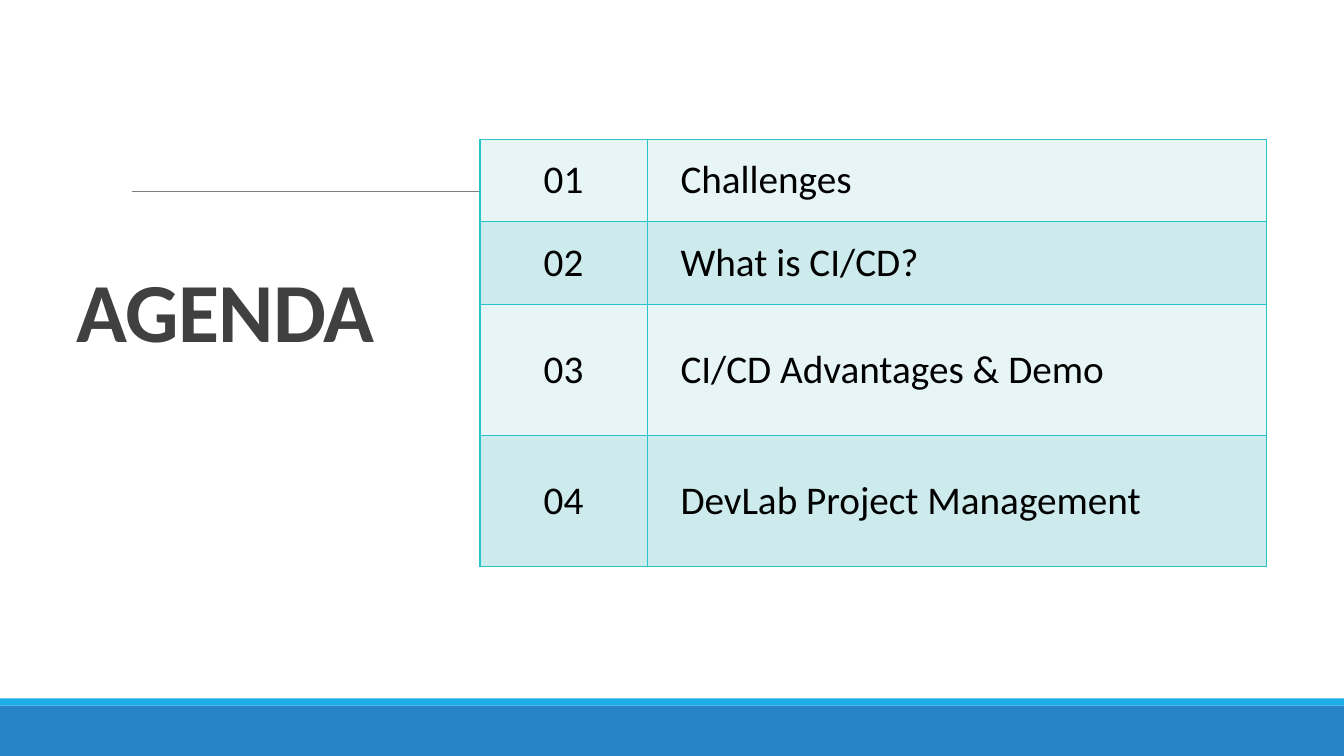
from lxml import etree
from pptx import Presentation
from pptx.dml.color import RGBColor
from pptx.enum.shapes import MSO_CONNECTOR, MSO_SHAPE
from pptx.enum.text import MSO_ANCHOR, PP_ALIGN
from pptx.oxml.ns import qn
from pptx.util import Inches, Pt

RECT = MSO_SHAPE.RECTANGLE
STRAIGHT = MSO_CONNECTOR.STRAIGHT
MIDDLE = MSO_ANCHOR.MIDDLE
LEFT, CENTER = PP_ALIGN.LEFT, PP_ALIGN.CENTER

BLUE = RGBColor(0x26, 0x83, 0xC6)
SKY = RGBColor(0x1C, 0xAD, 0xE4)
GRAY = RGBColor(0x80, 0x80, 0x80)
DARK = RGBColor(0x40, 0x40, 0x40)
BLACK = RGBColor(0, 0, 0)
TEAL = RGBColor(0x28, 0xC4, 0xCC)
BANDS = [RGBColor(0xE8, 0xF5, 0xF6), RGBColor(0xCD, 0xEA, 0xEC)]

FONT = "Calibri"
SLIDE_W, SLIDE_H = 13.33, 7.5
TOPICS = ["Challenges", "What is CI/CD?", "CI/CD Advantages & Demo",
          "DevLab Project Management"]
COL_WIDTHS = [1.66, 6.14]
ROW_HEIGHTS = [0.82, 0.82, 1.3, 1.3]


def add_run(p, text, size, color, bold=False):
    r = p.add_run()
    r.text = text
    r.font.name = FONT
    r.font.size = Pt(size)
    r.font.bold = bold
    r.font.color.rgb = color
    return r


def add_footer(s, x, y, w, h):
    """Blue band with a thin lighter stripe along its top."""
    stripe = 0.07
    for top, height, color in [(y + stripe, h - stripe, BLUE), (y, stripe, SKY)]:
        bar = s.shapes.add_shape(RECT, Inches(x), Inches(top),
                                 Inches(w), Inches(height))
        bar.shadow.inherit = False
        bar.fill.solid()
        bar.fill.fore_color.rgb = color
        bar.line.fill.background()


def add_rule(s, x, y, w):
    rule = s.shapes.add_connector(STRAIGHT, Inches(x), Inches(y),
                                  Inches(x + w), Inches(y))
    rule.line.color.rgb = GRAY
    rule.line.width = Pt(0.5)
    etree.SubElement(rule._element.spPr, qn("a:effectLst"))


def add_title(s, x, y, w, h):
    tf = s.shapes.add_textbox(Inches(x), Inches(y), Inches(w), Inches(h)).text_frame
    tf.word_wrap = True
    tf.margin_left = tf.margin_right = 0
    p = tf.paragraphs[0]
    p.line_spacing = 0.9
    p.space_after = Pt(6)
    r = add_run(p, "AGENDA", 60, DARK, bold=True)
    r.font._element.set("spc", "-50")


def add_borders(cell):
    # Borders must come before the fill in the cell properties
    tcPr = cell._tc.get_or_add_tcPr()
    for i, side in enumerate(["a:lnL", "a:lnR", "a:lnT", "a:lnB"]):
        ln = etree.Element(qn(side), w=str(Pt(1)))
        fill = etree.SubElement(ln, qn("a:solidFill"))
        etree.SubElement(fill, qn("a:srgbClr"), val=str(TEAL))
        tcPr.insert(i, ln)


def add_agenda(s, x, y, w, h):
    """Numbered topics in banded rows."""
    table = s.shapes.add_table(len(TOPICS), len(COL_WIDTHS), Inches(x), Inches(y),
                               Inches(w), Inches(h)).table
    table.first_row = False
    for col, width in zip(table.columns, COL_WIDTHS):
        col.width = Inches(width)
    for row, height in zip(table.rows, ROW_HEIGHTS):
        row.height = Inches(height)

    for i, topic in enumerate(TOPICS):
        for j, (text, align) in enumerate([(f"{i + 1:02}", CENTER), (topic, LEFT)]):
            cell = table.cell(i, j)
            cell.fill.solid()
            cell.fill.fore_color.rgb = BANDS[i % 2]
            cell.vertical_anchor = MIDDLE
            cell.margin_left = cell.margin_right = Inches(0.33)
            cell.margin_top = cell.margin_bottom = Inches(0.16)
            p = cell.text_frame.paragraphs[0]
            p.alignment = align
            add_run(p, text, 28, BLACK)
            add_borders(cell)


def main():
    prs = Presentation()
    prs.slide_width, prs.slide_height = Inches(SLIDE_W), Inches(SLIDE_H)
    s = prs.slides.add_slide(prs.slide_layouts[6])
    add_footer(s, 0, 6.93, SLIDE_W, SLIDE_H - 6.93)
    add_rule(s, 1.31, 1.9, 10.9)
    add_title(s, 0.76, 2.63, 3.22, 1.28)
    add_agenda(s, 4.76, 1.38, sum(COL_WIDTHS), sum(ROW_HEIGHTS))
    prs.save("out.pptx")


if __name__ == "__main__":
    main()
